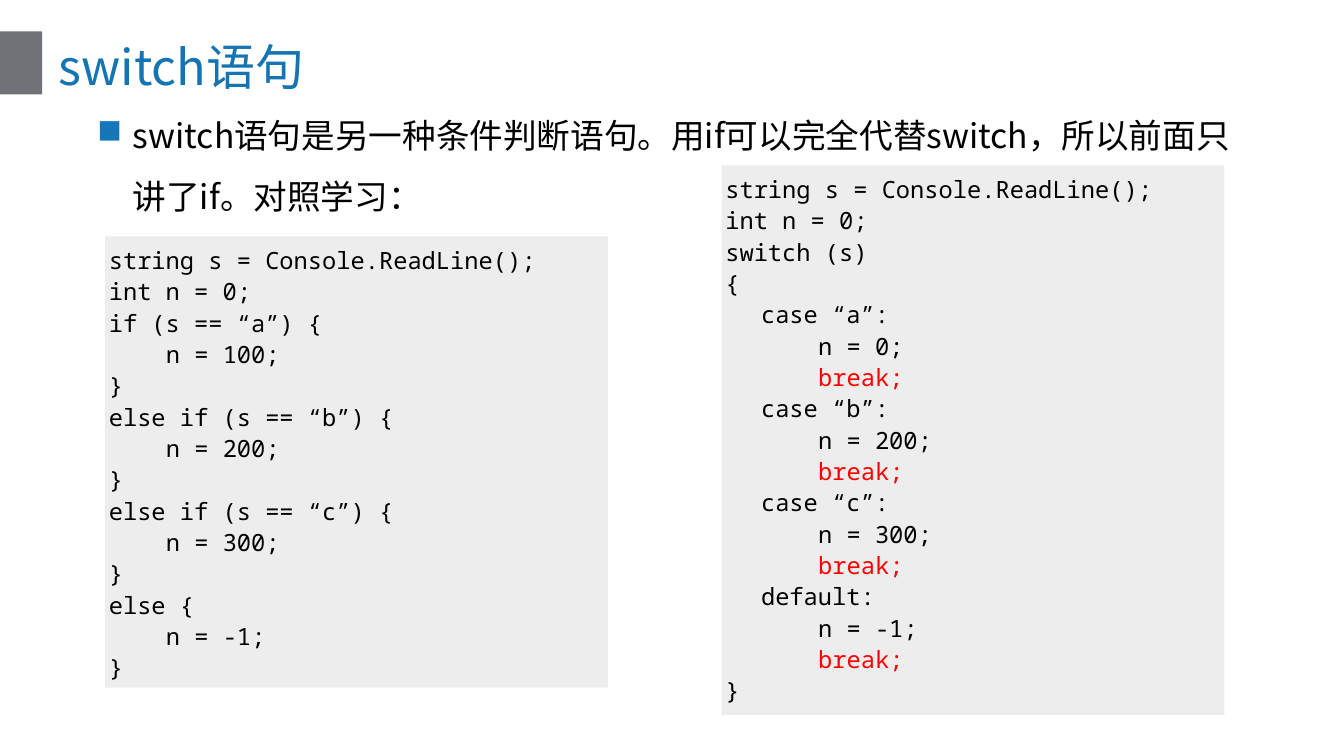
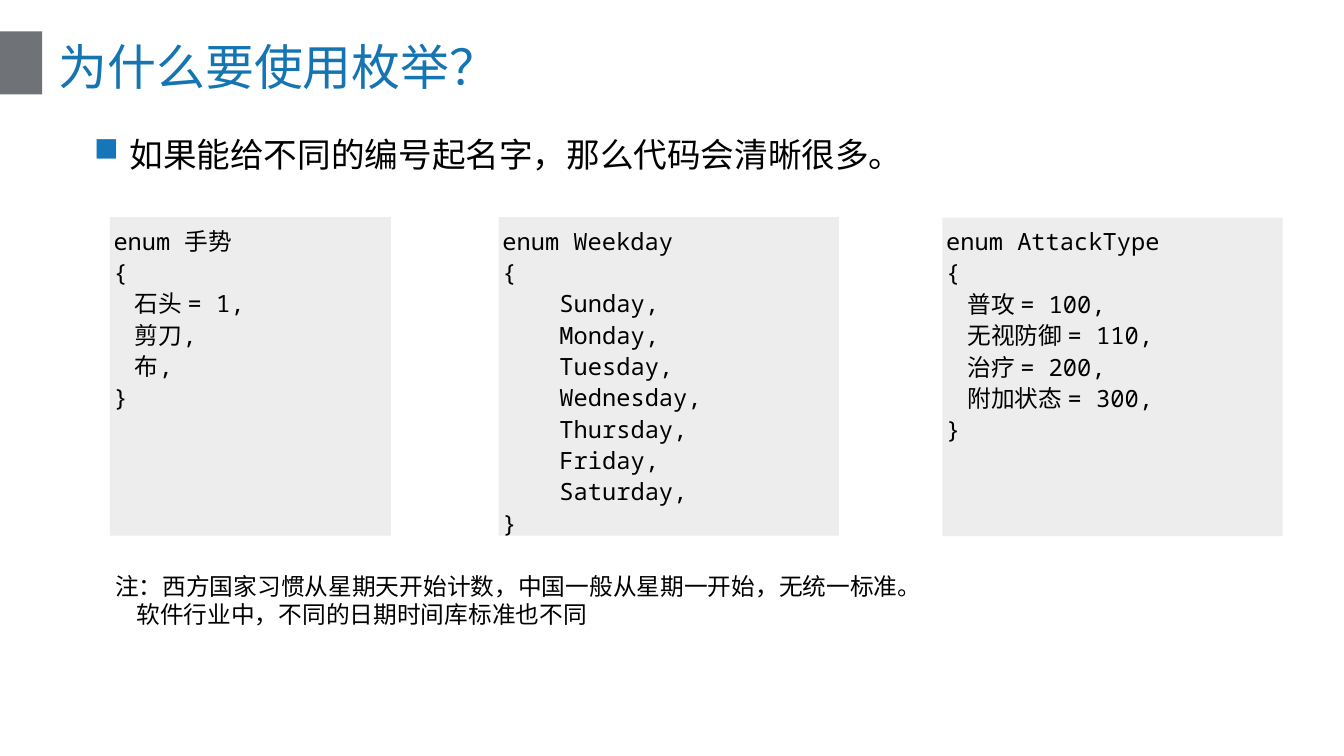
import pptx
import pptx.util
import pptx.dml.color
import pptx.enum.shapes
import pptx.enum.text
import pptx.oxml.ns
import lxml.etree

COLORS = {
    "band": "6F7378",
    "title": "1475B2",
    "bullet": "1577BA",
    "panel": "EDEDED",
    "text": "000000",
    "keyword": "FF0000",
}
SANS = "Noto Sans CJK SC"
MONO = "Noto Sans Mono"
STYLES = {
    "title": {"font": SANS, "size": 66, "color": "title", "leading": 88, "insets": (0.1, 0), "anchor": "MIDDLE"},
    "body": {"font": SANS, "size": 45.4, "color": "text", "leading": 82.4, "insets": (0.1, 0.1), "anchor": "TOP"},
    "code": {"font": MONO, "size": 32, "color": "text", "leading": 42.3, "insets": (0.07, 0.12), "anchor": "TOP"},
    "note": {"font": SANS, "size": 32, "color": "text", "leading": 38, "insets": (0.1, 0.05), "anchor": "TOP"},
}

deck = pptx.Presentation()
deck.slide_width = pptx.util.Inches(25.2)
deck.slide_height = pptx.util.Inches(14.17)
COLUMN = deck.slide_width / 100
ROW = deck.slide_height / 100


def add_block(page, place, fill=None):
    left, top, width, height = place
    frame = [int(left * COLUMN), int(top * ROW), int(width * COLUMN), int(height * ROW)]
    if fill is None:
        return page.shapes.add_textbox(*frame)
    box = page.shapes.add_shape(pptx.enum.shapes.MSO_SHAPE.RECTANGLE, *frame)
    box.shadow.inherit = False
    box.fill.solid()
    box.fill.fore_color.rgb = pptx.dml.color.RGBColor.from_string(COLORS[fill])
    box.line.fill.background()
    return box


def write_lines(box, text, style_name, margins=(0,), bullet=False):
    style = STYLES[style_name]
    frame = box.text_frame
    frame.word_wrap = True
    frame.vertical_anchor = pptx.enum.text.MSO_ANCHOR[style["anchor"]]
    side, top = style["insets"]
    frame.margin_left = frame.margin_right = pptx.util.Inches(side)
    frame.margin_top = pptx.util.Inches(top)
    frame.margin_bottom = 0
    for number, line in enumerate(text.strip().split("\n")):
        words = line.lstrip()
        margin = pptx.util.Inches(margins[(len(line) - len(words)) // 4])
        para = frame.add_paragraph() if number else frame.paragraphs[0]
        para.alignment = pptx.enum.text.PP_ALIGN.LEFT
        para.line_spacing = pptx.util.Pt(style["leading"])
        properties = para._p.get_or_add_pPr()
        properties.set("marL", str(margin))
        properties.set("indent", str(-margin if bullet else 0))
        if bullet:
            color = lxml.etree.SubElement(properties, pptx.oxml.ns.qn("a:buClr"))
            lxml.etree.SubElement(color, pptx.oxml.ns.qn("a:srgbClr"), val=COLORS["bullet"])
            lxml.etree.SubElement(properties, pptx.oxml.ns.qn("a:buChar"), char="■")
        span = para.add_run()
        span.text = words
        span.font.name = style["font"]
        span.font.size = pptx.util.Pt(style["size"])
        color_name = "keyword" if words == "break;" else style["color"]
        span.font.color.rgb = pptx.dml.color.RGBColor.from_string(COLORS[color_name])
        lxml.etree.SubElement(span._r.get_or_add_rPr(), pptx.oxml.ns.qn("a:ea"), typeface=SANS)


IF_CODE = """
string s = Console.ReadLine();
int n = 0;
if (s == “a”) {
    n = 100;
}
else if (s == “b”) {
    n = 200;
}
else if (s == “c”) {
    n = 300;
}
else {
    n = -1;
}
"""
SWITCH_CODE = """
string s = Console.ReadLine();
int n = 0;
switch (s)
{
    case “a”:
        n = 0;
        break;
    case “b”:
        n = 200;
        break;
    case “c”:
        n = 300;
        break;
    default:
        n = -1;
        break;
}
"""
GESTURE_CODE = """
enum 手势
{
    石头 = 1,
    剪刀,
    布,
}
"""
WEEKDAY_CODE = """
enum Weekday
{
    Sunday,
    Monday,
    Tuesday,
    Wednesday,
    Thursday,
    Friday,
    Saturday,
}
"""
ATTACK_CODE = """
enum AttackType
{
    普攻 = 100,
    无视防御 = 110,
    治疗 = 200,
    附加状态 = 300,
}
"""
NOTE = """
注：西方国家习惯从星期天开始计数，中国一般从星期一开始，无统一标准。
    软件行业中，不同的日期时间库标准也不同
"""

SLIDES = [
    {
        "title": "switch语句",
        "body": "switch语句是另一种条件判断语句。用if可以完全代替switch，所以前面只讲了if。对照学习：",
        "body_place": (6.83, 11.79, 86.79, 16.87),
        "panels": [
            ((7.82, 31.26, 37.42, 59.7), IF_CODE, (0, 1.07)),
            ((53.69, 21.88, 37.42, 72.69), SWITCH_CODE, (0, 0.67, 1.74)),
        ],
        "notes": [],
    },
    {
        "title": "为什么要使用枚举？",
        "body": "如果能给不同的编号起名字，那么代码会清晰很多。",
        "body_place": (6.59, 14.26, 86.79, 8.82),
        "panels": [
            ((8.17, 28.72, 20.91, 42.13), GESTURE_CODE, (0, 0.4)),
            ((37.1, 28.72, 25.32, 42.13), WEEKDAY_CODE, (0, 1.07)),
            ((70.12, 28.79, 25.32, 42.13), ATTACK_CODE, (0, 0.4)),
        ],
        "notes": [((8.17, 75.37, 63.49, 8.33), NOTE, (0, 0.4))],
    },
]

for content in SLIDES:
    page = deck.slides.add_slide(deck.slide_layouts[6])
    add_block(page, (0, 4.16, 3.13, 8.33), "band")
    write_lines(add_block(page, (3.13, 4.02, 93.73, 8.47)), content["title"], "title", (0.21,))
    write_lines(add_block(page, content["body_place"]), content["body"], "body", (0.67,), bullet=True)
    for place, code, margins in content["panels"]:
        write_lines(add_block(page, place, "panel"), code, "code", margins)
    for place, note, margins in content["notes"]:
        write_lines(add_block(page, place), note, "note", margins)

deck.save("out.pptx")
